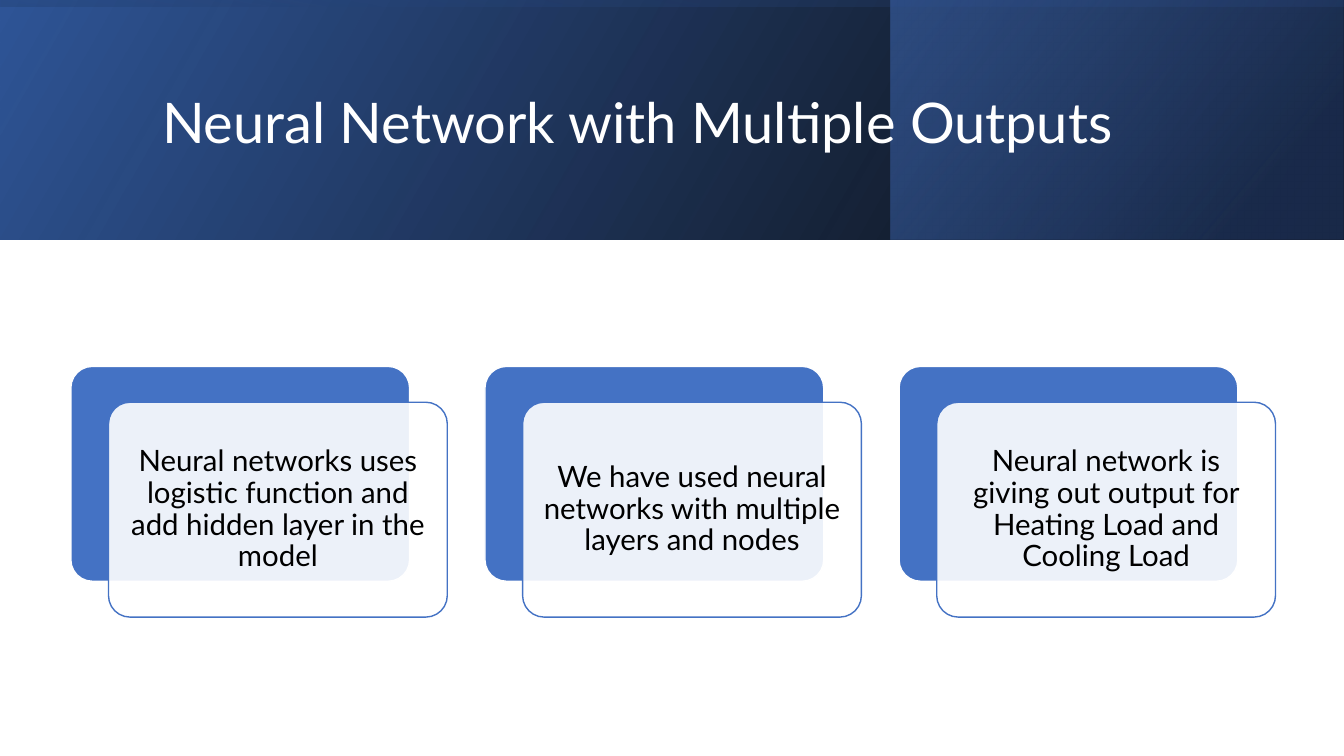
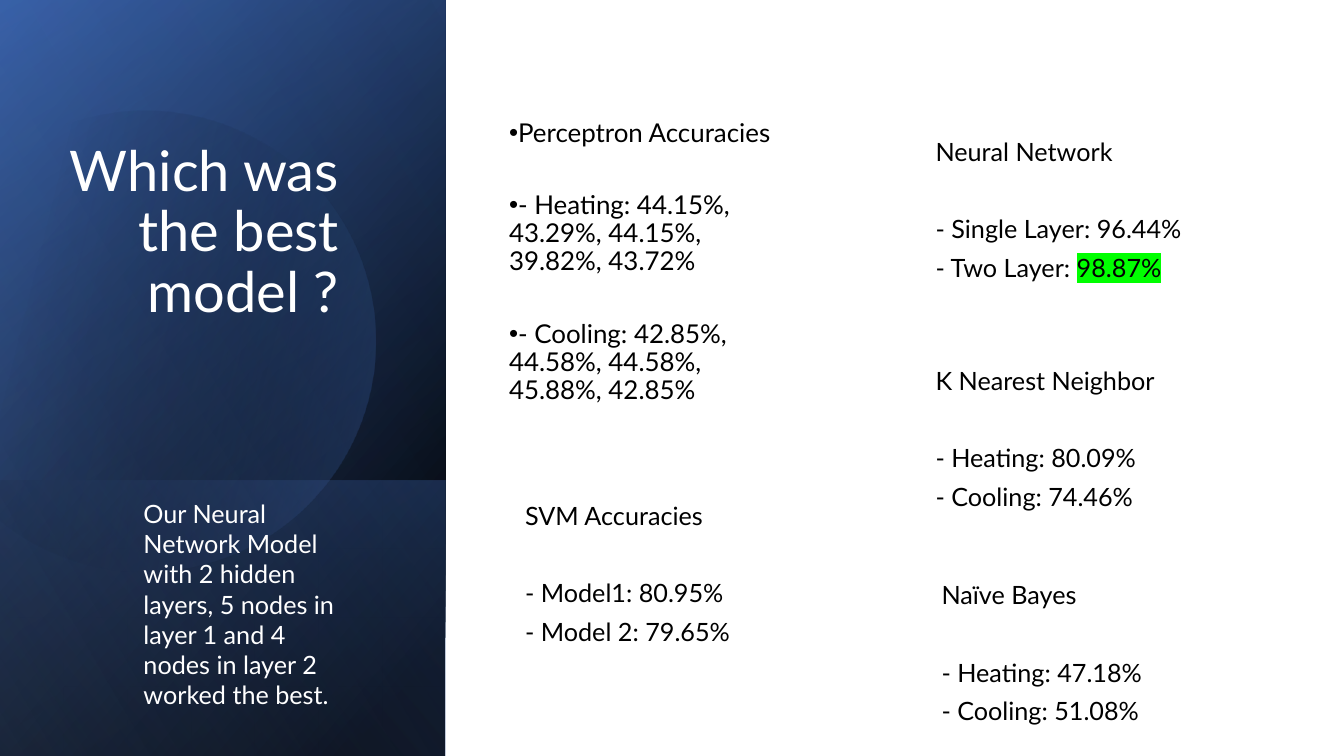
from dataclasses import dataclass
from math import cos, radians, sin, tan

from lxml import etree
from pptx import Presentation
from pptx.dml.color import RGBColor
from pptx.enum.shapes import MSO_SHAPE
from pptx.enum.text import MSO_ANCHOR, PP_ALIGN
from pptx.oxml.ns import qn
from pptx.util import Pt

RECT, ROUND = MSO_SHAPE.RECTANGLE, MSO_SHAPE.ROUNDED_RECTANGLE
TOP, MIDDLE, BOTTOM = MSO_ANCHOR.TOP, MSO_ANCHOR.MIDDLE, MSO_ANCHOR.BOTTOM
LEFT, CENTER, RIGHT = PP_ALIGN.LEFT, PP_ALIGN.CENTER, PP_ALIGN.RIGHT

FONT = "Lato"
WHITE, BLACK, GREEN = "FFFFFF", "000000", "00FF00"
BLUE, NAVY, DEEP, PALE = "4472C4", "2F5597", "203864", "8FAADC"
WIDE, HIGH = 960, 540
HEAD, SIDE = 171, 318.2

Box = tuple[float, float, float, float]
Stop = tuple[int, str, int]


@dataclass
class Band:
    box: Box
    stops: tuple[Stop, Stop]
    angle: int
    turn: int = 0


@dataclass
class Style:
    size: float = 18
    color: str = BLACK
    align: int = LEFT
    anchor: int = TOP
    lines: float = 1
    after: float = 6
    gap: float = 27.6
    bullet: bool = False


@dataclass
class Note:
    box: Box
    head: str
    items: tuple[str, ...]
    mark: str = ""


TITLE = Style(40, WHITE, LEFT, MIDDLE, 0.9, 0)
ASIDE = Style(40, WHITE, RIGHT, BOTTOM, 0.9, 0)
CARD = Style(21, BLACK, CENTER, MIDDLE, 0.9, 0)
BODY = Style()
POINTS = Style(18.5, lines=0.9, gap=25.7, bullet=True)
CLAIM = Style(color=WHITE)

TOP_BANDS = (
    Band((0, 0, WIDE, HEAD), ((0, BLACK, 96), (100, NAVY, 100)), 330),
    Band((636.5, 0, 322.8, HEAD), ((19, DEEP, 68), (100, BLUE, 48)), 320),
    Band((0, 0, WIDE, HEAD), ((23, NAVY, 16), (99, BLACK, 45)), 350, 270),
)
SIDE_BANDS = (
    Band((0, 0, SIDE, HIGH), ((8, BLACK, 100), (100, NAVY, 100)), 50, 90),
    Band((0, 0, SIDE, HIGH), ((0, BLACK, 0), (99, BLUE, 46)), 30, 90),
    Band((0, 343, SIDE, 197), ((2, BLUE, 29), (100, BLACK, 30)), 130, 90),
)
GLAZE = Band((0, 0, SIDE, HIGH), ((0, BLACK, 0), (99, PALE, 11)), 120, 90)
DISC = ((29, BLACK, 0), (100, BLUE, 43))

CARDS = (
    "Neural networks uses logistic function and add hidden layer in the model",
    "We have used neural networks with multiple layers and nodes",
    "Neural network is giving out output for Heating Load and Cooling Load",
)
NOTES = (
    Note((661.2, 257.3, 219, 113), "K Nearest Neighbor",
         ("- Heating: 80.09%", "- Cooling: 74.46%")),
    Note((665.5, 410.6, 219, 113), "Naïve Bayes",
         ("- Heating: 47.18%", "- Cooling: 51.08%")),
    Note((368, 353.7, 222, 113), "SVM Accuracies",
         ("- Model1: 80.95%", "- Model 2: 79.65%")),
    Note((661.2, 93.8, 207, 94.3), "Neural Network",
         ("- Single Layer: 96.44%", "- Two Layer: "), "98.87%"),
)


def hue(code: str) -> RGBColor:
    return RGBColor.from_string(code)


def add(root, tag: str, **attrs):
    return etree.SubElement(root, qn(tag), attrs)


def blend(shape, stops, angle: int) -> None:
    shape.shadow.inherit = False
    shape.line.fill.background()
    shape.fill.background()
    grad = etree.Element(qn("a:gradFill"), rotWithShape="1")
    group = add(grad, "a:gsLst")
    for pos, code, alpha in stops:
        stop = add(group, "a:gs", pos=str(pos * 1000))
        color = add(stop, "a:srgbClr", val=code)
        add(color, "a:alpha", val=str(alpha * 1000))
    add(grad, "a:lin", ang=str(angle * 60000), scaled="0")
    props = shape._element.spPr
    props.replace(props.find(qn("a:noFill")), grad)


def draw_band(slide, band: Band) -> None:
    x, y, w, h = band.box
    if band.turn:
        x, y, w, h = x + (w - h) / 2, y + (h - w) / 2, h, w
    shape = slide.shapes.add_shape(RECT, Pt(x), Pt(y), Pt(w), Pt(h))
    shape.rotation = band.turn
    shape._element.spPr.xfrm.set("flipH", "1")
    blend(shape, band.stops, band.angle)


def arc_dots(x: float, y: float, r: float, turns: tuple[int, ...]):
    def dot(angle: int, pull: float):
        c, s = cos(radians(angle)), sin(radians(angle))
        return Pt(x + r * (c - pull * s)), Pt(y + r * (s + pull * c))

    dots = [dot(turns[0], 0)]
    for a, b in zip(turns, turns[1:]):
        pull = 4 / 3 * tan(radians(b - a) / 4)
        dots += [dot(a, pull), dot(b, -pull), dot(b, 0)]
    return dots


def draw_disc(slide) -> None:
    dots = arc_dots(103.3, 240.8, 164.5, (-118, -90, 0, 90, 150))
    outline = slide.shapes.build_freeform(*dots[0])
    outline.add_line_segments(dots[1:], close=True)
    shape = outline.convert_to_shape()
    steps = list(shape._element.iter(qn("a:lnTo")))
    for i in range(0, len(steps), 3):
        curve = etree.Element(qn("a:cubicBezTo"))
        steps[i].addprevious(curve)
        for step in steps[i:i + 3]:
            curve.append(step[0])
            step.getparent().remove(step)
    shape.rotation = 343.9
    blend(shape, DISC, 30)


def add_run(para, text: str, style: Style, mark: str = "") -> None:
    run = para.add_run()
    run.text = text
    run.font.size = Pt(style.size)
    run.font.name = FONT
    run.font.color.rgb = hue(style.color)
    if mark:
        light = etree.Element(qn("a:highlight"))
        add(light, "a:srgbClr", val=mark)
        run._r.rPr.find(qn("a:solidFill")).addnext(light)


def add_para(frame, text: str, style: Style, first: bool, gap: bool):
    para = frame.paragraphs[0] if first else frame.add_paragraph()
    para.alignment = style.align
    para.line_spacing = style.lines
    para.space_after = Pt(style.after)
    para.space_before = Pt(style.gap if gap else 0)
    if style.bullet:
        props = para._p.get_or_add_pPr()
        props.set("marL", "0")
        props.set("indent", str(-Pt(18)))
        add(props, "a:buFont", typeface="Arial")
        add(props, "a:buChar", char="•")
    add_run(para, text, style)
    return para


def add_text(slide, box: Box, style: Style, *texts: str, gaps=()):
    shape = slide.shapes.add_textbox(*map(Pt, box))
    frame = shape.text_frame
    frame.word_wrap = True
    frame.vertical_anchor = style.anchor
    for i, text in enumerate(texts):
        para = add_para(frame, text, style, i == 0, i in gaps)
    return para


def draw_note(slide, note: Note) -> None:
    last = add_text(slide, note.box, BODY, note.head, *note.items, gaps=(1,))
    if note.mark:
        add_run(last, note.mark, BODY, GREEN)


def add_plain(slide, kind: int, box: Box, fill: str):
    shape = slide.shapes.add_shape(kind, *map(Pt, box))
    shape.shadow.inherit = False
    shape.fill.solid()
    shape.fill.fore_color.rgb = hue(fill)
    shape.line.fill.background()
    return shape


def add_tile(slide, x: float, y: float, fill: str, edge: str):
    tile = add_plain(slide, ROUND, (x, y, 242, 153.5), fill)
    tile.adjustments[0] = 0.1
    tile.line.color.rgb = hue(edge)
    tile.line.width = Pt(1)
    return tile


def draw_card(slide, x: float, text: str) -> None:
    add_tile(slide, x, 261.7, BLUE, WHITE)
    front = add_tile(slide, x + 26.9, 287.3, WHITE, BLUE)
    color = front._element.spPr.find(qn("a:solidFill"))[0]
    add(color, "a:alpha", val="90000")
    frame = front.text_frame
    frame.word_wrap = True
    frame.vertical_anchor = CARD.anchor
    frame.margin_left = frame.margin_right = Pt(6.5)
    frame.margin_top = frame.margin_bottom = Pt(6.5)
    add_para(frame, text, CARD, True, False)


def build_outputs(slide) -> None:
    for band in TOP_BANDS:
        draw_band(slide, band)
    add_text(slide, (108.7, 27.4, 765.4, 123.8), TITLE,
             "Neural Network with Multiple Outputs")
    for i, text in enumerate(CARDS):
        draw_card(slide, 50.6 + 295.8 * i, text)


def build_best(slide) -> None:
    add_plain(slide, RECT, (0, 0, WIDE, HIGH), WHITE)
    for band in SIDE_BANDS:
        draw_band(slide, band)
    draw_disc(slide)
    draw_band(slide, GLAZE)
    add_text(slide, (39.6, 62.6, 209.5, 172.8), ASIDE,
             "Which was the best model ?")
    add_text(slide, (356.6, 82.1, 206.6, 217), POINTS,
             "Perceptron Accuracies",
             "- Heating: 44.15%, 43.29%, 44.15%, 39.82%, 43.72%",
             "- Cooling: 42.85%, 44.58%, 44.58%, 45.88%, 42.85%",
             gaps=(1, 2))
    for note in NOTES:
        draw_note(slide, note)
    add_text(slide, (95.4, 352.4, 154, 160), CLAIM,
             "Our Neural Network Model with 2 hidden layers, 5 nodes in "
             "layer 1 and 4 nodes in layer 2 worked the best.")


def main() -> None:
    deck = Presentation()
    deck.slide_width, deck.slide_height = Pt(WIDE), Pt(HIGH)
    for build in (build_outputs, build_best):
        build(deck.slides.add_slide(deck.slide_layouts[6]))
    deck.save("out.pptx")


if __name__ == "__main__":
    main()
